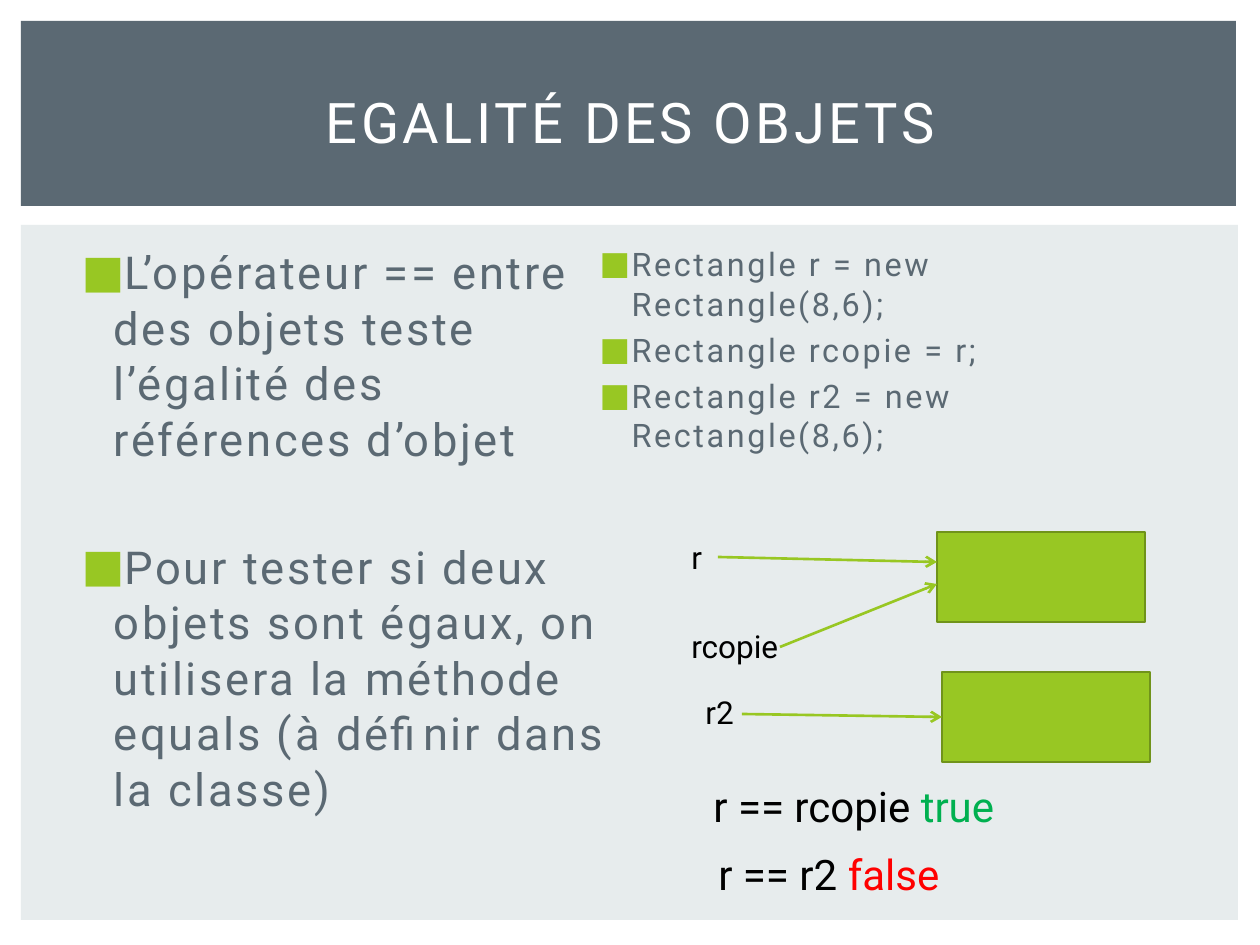
from collections import namedtuple

from lxml.etree import SubElement
from pptx import Presentation
from pptx.dml.color import RGBColor
from pptx.enum.shapes import MSO_CONNECTOR, MSO_SHAPE
from pptx.enum.text import MSO_ANCHOR, MSO_AUTO_SIZE, PP_ALIGN
from pptx.oxml.ns import qn
from pptx.util import Emu, Pt

WHITE = RGBColor(0xFF, 0xFF, 0xFF)
BLACK = RGBColor(0x00, 0x00, 0x00)
SLATE = RGBColor(0x5B, 0x69, 0x73)
MIST = RGBColor(0xE7, 0xEC, 0xED)
LIME = RGBColor(0x98, 0xC7, 0x23)
DARK_LIME = RGBColor(0x70, 0x93, 0x1A)
GREEN = RGBColor(0x00, 0xB0, 0x50)
RED = RGBColor(0xFF, 0x00, 0x00)
FONT = "Roboto"
PX_PER_INCH = 126
LINE_WIDTH = Pt(1.5)

Box = namedtuple("Box", "left top width height")


def px(length):
    """Turn pixels into EMU."""
    return Emu(round(length * 914400 / PX_PER_INCH))


def apply_format(target, values):
    """Set each named attribute on the target."""
    for name, value in values.items():
        setattr(target, name, value)


def place(shape, box):
    """Move and size a shape to a pixel box."""
    apply_format(shape, {name: px(value) for name, value in box._asdict().items()})


def add_span(para, text, size, color, spacing=0):
    """Add a run with its font, colour and letter spacing in points."""
    span = para.add_run()
    span.text = text
    apply_format(span.font, {"name": FONT, "size": Pt(size)})
    span.font.color.rgb = color
    if spacing:
        span.font._element.set("spc", str(round(spacing * 100)))


def add_rectangle(page, box, fill, outline=None):
    """Add a flat rectangle with an optional outline."""
    shape = page.shapes.add_shape(MSO_SHAPE.RECTANGLE, *map(px, box))
    shape.shadow.inherit = False
    shape.fill.solid()
    shape.fill.fore_color.rgb = fill
    if outline is None:
        shape.line.fill.background()
    else:
        shape.line.color.rgb = outline
        shape.line.width = LINE_WIDTH
    return shape


def add_panels(page, box):
    """Put the title band and content panel behind the placeholders."""
    band = add_rectangle(page, Box(box.left, box.top, box.width - 2, 185), SLATE)
    panel = add_rectangle(page, Box(box.left, box.top + 204, box.width, box.height - 204), MIST)
    for shape in (band, panel):
        shape.element.getparent().insert(2, shape.element)


def fill_title(title, box, text):
    """Place and format the title."""
    place(title, box)
    frame = title.text_frame
    apply_format(frame, {"vertical_anchor": MSO_ANCHOR.MIDDLE, "auto_size": MSO_AUTO_SIZE.NONE})
    para = frame.paragraphs[0]
    para.alignment = PP_ALIGN.CENTER
    add_span(para, text, 32, WHITE, 2)


def add_bullet(para):
    """Give a paragraph a hanging square bullet."""
    properties = para._element.get_or_add_pPr()
    properties.set("marL", str(px(38)))
    properties.set("indent", str(-px(32)))
    color = SubElement(properties, qn("a:buClr"))
    SubElement(color, qn("a:srgbClr"), val=str(LIME))
    SubElement(properties, qn("a:buFont"), typeface=FONT)
    SubElement(properties, qn("a:buChar"), char="■")


def fill_list(body, box, items, size, gap):
    """Place a body placeholder and fill it with bulleted items."""
    place(body, box)
    frame = body.text_frame
    apply_format(frame, {"vertical_anchor": MSO_ANCHOR.TOP, "auto_size": MSO_AUTO_SIZE.NONE})
    for index, text in enumerate(items):
        para = frame.add_paragraph() if index else frame.paragraphs[0]
        spacing = {"line_spacing": 1.02, "space_before": Pt(gap if index else 0)}
        apply_format(para, {"alignment": PP_ALIGN.LEFT, **spacing})
        add_bullet(para)
        add_span(para, text, size, SLATE, 1.5)


def add_label(page, box, spans, size):
    """Add an unwrapped text box made of coloured spans."""
    label = page.shapes.add_textbox(*map(px, box))
    apply_format(label.text_frame, {"word_wrap": False, "auto_size": MSO_AUTO_SIZE.SHAPE_TO_FIT_TEXT})
    for text, color in spans:
        add_span(label.text_frame.paragraphs[0], text, size, color)
    return label


def add_arrow(page, start, end):
    """Add a straight arrow between two pixel points."""
    arrow = page.shapes.add_connector(MSO_CONNECTOR.STRAIGHT, *map(px, start + end))
    arrow.line.color.rgb = LIME
    arrow.line.width = LINE_WIDTH
    SubElement(arrow.line._get_or_add_ln(), qn("a:tailEnd"), type="arrow")
    SubElement(arrow._element.spPr, qn("a:effectLst"))
    return arrow


def add_references(page, box):
    """Draw the variables pointing at their objects."""
    left, top = box.left, box.top
    add_rectangle(page, Box(left + 258, top, 208, 90), LIME, DARK_LIME)
    second = add_rectangle(page, Box(left + 263, top + 140, 208, 90), LIME, DARK_LIME)
    variables = [
        ("r", (0, 0, 39), (39, 25), (258, 30)),
        ("rcopie", (0, 89, 113), (101, 115), (258, 52)),
        ("r2", (14, 155, 57), (63, 182), (263, 185)),
    ]
    arrows, labels = {}, {}
    for name, (x, y, width), start, end in variables:
        label_box = Box(left + x, top + y, width, 50)
        labels[name] = add_label(page, label_box, [(name, BLACK)], 18)
        points = [(left + across, top + down) for across, down in (start, end)]
        arrows[name] = add_arrow(page, *points)
    arrows["r"].begin_connect(labels["r"], 3)
    arrows["r2"].end_connect(second, 1)


def add_results(page, box):
    """Write the outcome of each comparison."""
    results = [("r == rcopie ", "true", GREEN, 0, 321), ("r == r2 ", "false", RED, 5, 255)]
    for row, (test, outcome, color, shift, width) in enumerate(results):
        label_box = Box(box.left + shift, box.top + 68 * row, width, 63)
        add_label(page, label_box, [(test, BLACK), (outcome, color)], 24)


def main():
    """Build and save the slide."""
    deck = Presentation()
    apply_format(deck, {"slide_width": px(1260), "slide_height": px(945)})
    page = deck.slides.add_slide(deck.slide_layouts[3])
    title, left_body, right_body = page.placeholders
    add_panels(page, Box(21, 21, 1217, 899))
    fill_title(title, Box(53, 49, 1155, 145), "EGALITÉ DES OBJETS")
    principles = [
        "L’opérateur == entre des objets teste l’égalité des références d’objet",
        "Pour tester si deux objets sont égaux, on utilisera la méthode equals (à définir dans la classe)",
    ]
    fill_list(left_body, Box(63, 237, 557, 607), principles, 25.9, 41.5)
    declarations = [
        "Rectangle r = new Rectangle(8,6);",
        "Rectangle rcopie = r;",
        "Rectangle r2 = new Rectangle(8,6);",
    ]
    fill_list(right_body, Box(581, 237, 616, 607), declarations, 18.5, 3.7)
    add_references(page, Box(679, 532, 471, 230))
    add_results(page, Box(701, 774, 321, 131))
    deck.save("out.pptx")


if __name__ == "__main__":
    main()
